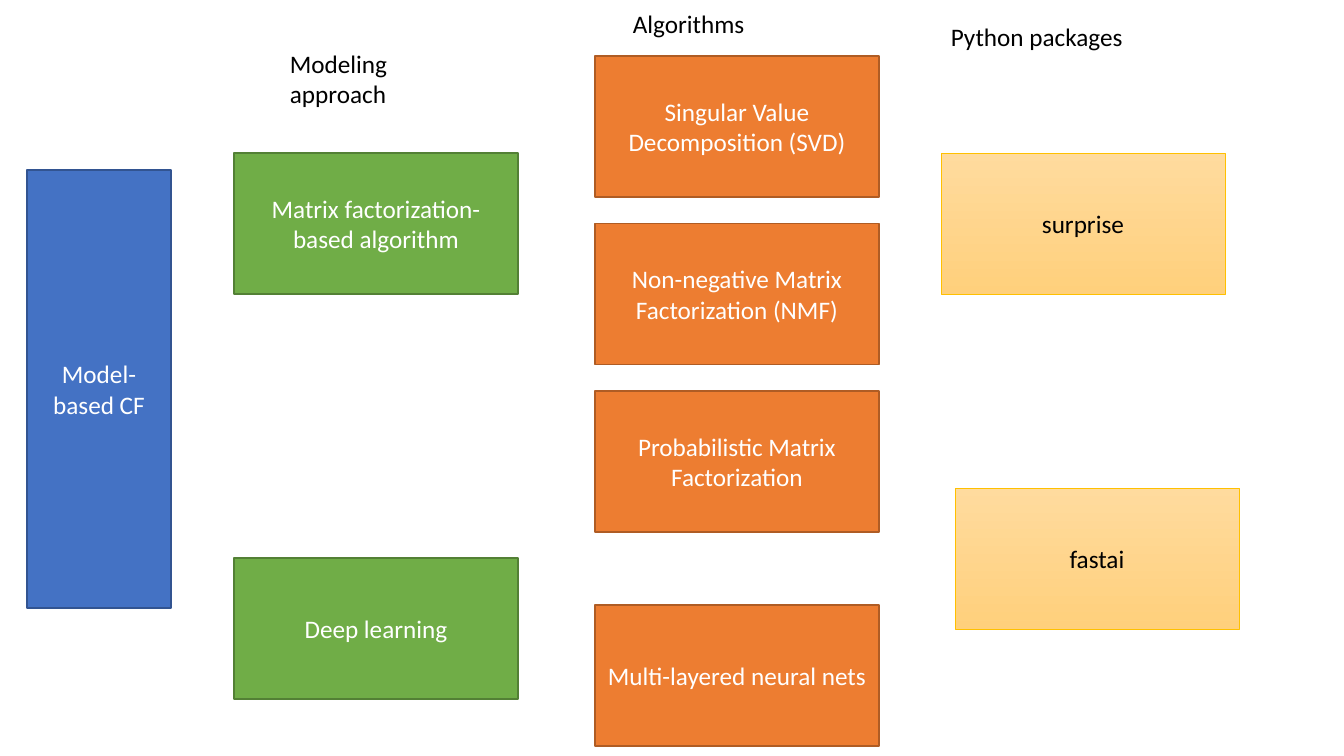
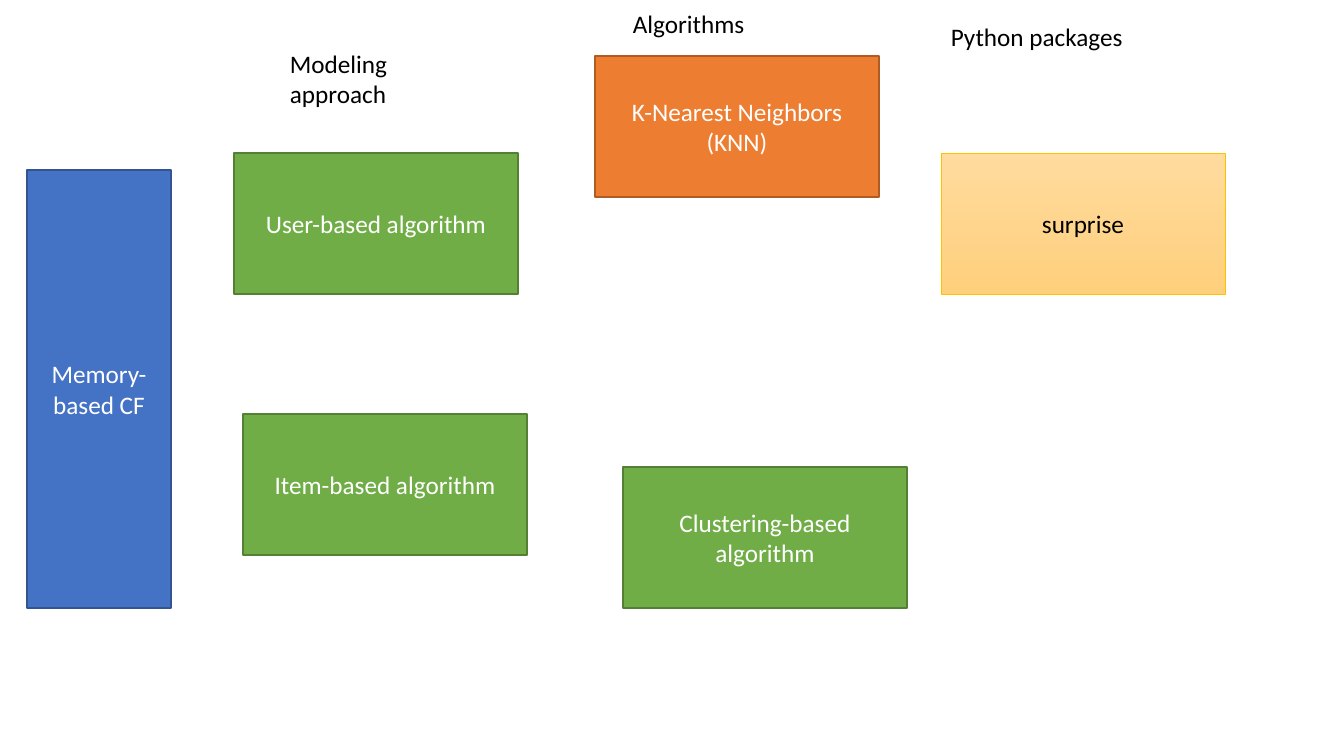
from pptx import Presentation
from pptx import util as u
from pptx.dml.color import RGBColor
from pptx.enum import shapes, text

# Shared scale, colours and sizes (lengths in pixels)
PX = 12192000 / 1344
COLORS = {
    "family": ("4472C4", "325491"),
    "approach": ("70AD47", "538035"),
    "algorithm": ("ED7D31", "AF5C24"),
    "package": ("FFDB9E", "FFC000"),
    "package_end": "FFD07C",
    "light": "FFFFFF",
    "dark": "000000",
}
BOX = (284, 141)
FAMILY = (27, 170, 144, 438)
APPROACH_X, ALGORITHM_X, PACKAGE_X = 234, 595, 941
ROW_TOP, ALGORITHM_TOP, ALGORITHM_STEP = 153, 56, 167.5

# Column headings, the same on every slide
HEADINGS = [
    ("Python packages", PACKAGE_X, 16, 284, 40),
    ("Algorithms", 623, 3, 190, 40),
    ("Modeling approach", 280, 43, 190, 72),
]

# Each slide: family name, then boxes as (role, label, left, top)
first_algorithms = [
    "Singular Value Decomposition (SVD)",
    "Non-negative Matrix Factorization (NMF)",
    "Probabilistic Matrix Factorization",
]
SLIDES = [
    ("Model-based CF", [
        ("approach", "Matrix factorization-based algorithm", APPROACH_X, ROW_TOP),
        ("approach", "Deep learning", APPROACH_X, 558),
        *[("algorithm", label, ALGORITHM_X, ALGORITHM_TOP + i * ALGORITHM_STEP)
          for i, label in enumerate(first_algorithms)],
        ("algorithm", "Multi-layered neural nets", ALGORITHM_X, 605),
        ("package", "surprise", PACKAGE_X, ROW_TOP),
        ("package", "fastai", 955, 488),
    ]),
    ("Memory-based CF", [
        ("approach", "User-based algorithm", APPROACH_X, ROW_TOP),
        ("algorithm", "K-Nearest Neighbors (KNN)", ALGORITHM_X, ALGORITHM_TOP),
        ("package", "surprise", PACKAGE_X, ROW_TOP),
        ("approach", "Clustering-based algorithm", 623, 467),
        ("approach", "Item-based algorithm", 243, 414),
    ]),
]


def write(frame, label, color, align):
    frame.word_wrap = True
    paragraph = frame.paragraphs[0]
    paragraph.alignment = align
    run = paragraph.add_run()
    run.text = label
    run.font.name = "Calibri"
    run.font.size = u.Pt(18)
    run.font.color.rgb = RGBColor.from_string(COLORS[color])


def add_box(slide, role, label, *place):
    box = slide.shapes.add_shape(shapes.MSO_SHAPE.RECTANGLE,
                                 *[round(v * PX) for v in place])
    box.shadow.inherit = False
    fill, outline = COLORS[role]
    is_package = role == "package"
    if is_package:
        box.fill.gradient()
        box.fill.gradient_angle = 270
        for stop, shade in zip(box.fill.gradient_stops, (fill, COLORS["package_end"])):
            stop.color.rgb = RGBColor.from_string(shade)
    else:
        box.fill.solid()
        box.fill.fore_color.rgb = RGBColor.from_string(fill)
    box.line.color.rgb = RGBColor.from_string(outline)
    box.line.width = u.Pt(0.5 if is_package else 1)
    box.text_frame.vertical_anchor = text.MSO_ANCHOR.MIDDLE
    write(box.text_frame, label, "dark" if is_package else "light", text.PP_ALIGN.CENTER)


deck = Presentation()
deck.slide_width, deck.slide_height = round(1344 * PX), round(756 * PX)

for family, boxes in SLIDES:
    slide = deck.slides.add_slide(deck.slide_layouts[6])

    # Filter family and its boxes
    add_box(slide, "family", family, *FAMILY)
    for role, label, left, top in boxes:
        add_box(slide, role, label, left, top, *BOX)

    # Column headings
    for label, *place in HEADINGS:
        heading = slide.shapes.add_textbox(*[round(v * PX) for v in place])
        heading.text_frame.auto_size = text.MSO_AUTO_SIZE.SHAPE_TO_FIT_TEXT
        write(heading.text_frame, label, "dark", text.PP_ALIGN.LEFT)

deck.save("out.pptx")
